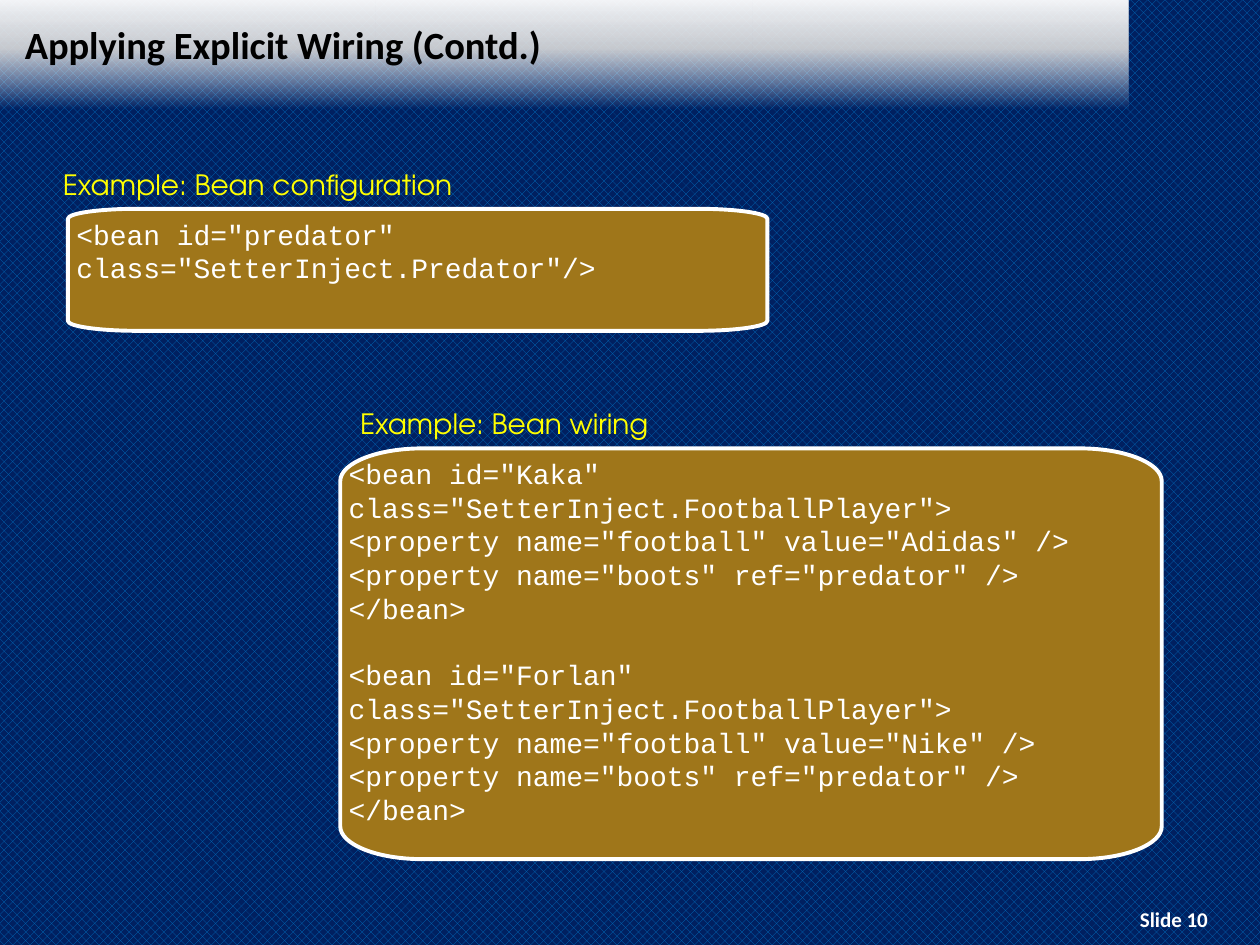
from lxml import etree
from pptx import Presentation
from pptx import util as u
from pptx.dml import color
from pptx.enum import dml, text
from pptx.enum import shapes
from pptx.oxml import ns

COLORS = {
    "pattern": "0070C0", "navy": "002060", "white": "FFFFFF", "silver": "D9D9D9",
    "black": "000000", "yellow": "FFFF00", "brown": "9F761A",
}
TITLE = {"name": "Calibri", "size": u.Pt(22), "bold": True}
NUMBER = {"name": "Calibri", "size": u.Pt(12), "bold": True}
LABEL = {"name": "TeX Gyre Adventor", "size": u.Pt(16)}
CODE = {"name": "Courier New", "size": u.Pt(16)}
CODE_LINE = u.Pt(19)
ARC = 0.55  # control point distance of a quarter ellipse

PREDATOR = ['<bean id="predator"', 'class="SetterInject.Predator"/>']


def player_bean(player, football):
    return [
        f'<bean id="{player}"',
        'class="SetterInject.FootballPlayer">',
        f'<property name="football" value="{football}" />',
        '<property name="boots" ref="predator" />',
        '</bean>',
    ]


def rgb(name):
    return color.RGBColor.from_string(COLORS[name])


def apply_format(font, values, color_name):
    for key, value in values.items():
        setattr(font, key, value)
    font.color.rgb = rgb(color_name)


def add_background(slide):
    fill = slide.background.fill
    fill.patterned()
    fill.pattern = dml.MSO_PATTERN.PERCENT_50
    fill.fore_color.rgb = rgb("pattern")
    fill.back_color.rgb = rgb("navy")


def add_title_band(slide):
    band = slide.shapes.add_shape(
        shapes.MSO_SHAPE.RECTANGLE, 0, u.Cm(-0.03), u.Cm(22.75), u.Cm(2.22))
    band.shadow.inherit = False
    band.line.fill.background()
    band.fill.gradient()
    band.fill.gradient_angle = 90
    # Stops run from clear at the bottom to nearly solid at the top
    stops = band._element.spPr.find(ns.qn("a:gradFill")).find(ns.qn("a:gsLst"))
    for stop in list(stops):
        stops.remove(stop)
    for position, name, alpha in ((0, "white", 0), (54, "silver", 90), (100, "white", 95)):
        stop = etree.SubElement(stops, ns.qn("a:gs"), pos=str(position * 1000))
        tint = etree.SubElement(stop, ns.qn("a:srgbClr"), val=COLORS[name])
        etree.SubElement(tint, ns.qn("a:alpha"), val=str(alpha * 1000))


def add_text(slide, words, place, values, color_name,
             align=text.PP_ALIGN.LEFT, anchor=text.MSO_ANCHOR.TOP):
    frame = slide.shapes.add_textbox(*map(u.Cm, place)).text_frame
    frame.word_wrap = True
    frame.vertical_anchor = anchor
    paragraph = frame.paragraphs[0]
    paragraph.alignment = align
    run = paragraph.add_run()
    run.text = words
    apply_format(run.font, values, color_name)
    return run


def add_label(slide, words, left, top):
    run = add_text(slide, words, (left, top, 9.6, 0.94), LABEL, "yellow")
    outline = etree.Element(ns.qn("a:ln"), w=str(u.Pt(1)))
    fill = etree.SubElement(outline, ns.qn("a:solidFill"))
    etree.SubElement(fill, ns.qn("a:srgbClr"), val=COLORS["yellow"])
    run._r.get_or_add_rPr().insert(0, outline)


def curve_corners(panel):
    """Turn every other segment, the cut corners, into a quarter ellipse."""
    points = [(int(pt.get("x")), int(pt.get("y")))
              for pt in panel._element.iter(ns.qn("a:pt"))]
    segments = list(panel._element.iter(ns.qn("a:lnTo")))
    for index in range(0, 8, 2):
        start, end = points[index], points[index + 1]
        upright = index % 4 == 0
        vertex = (start[0], end[1]) if upright else (end[0], start[1])
        curve = etree.Element(ns.qn("a:cubicBezTo"))
        controls = [[round(p + (v - p) * ARC) for p, v in zip(point, vertex)]
                    for point in (start, end)]
        for x, y in (*controls, end):
            etree.SubElement(curve, ns.qn("a:pt"), x=str(x), y=str(y))
        segments[index].getparent().replace(segments[index], curve)


def add_panel(slide, left, top, width, height, radius_x, radius_y):
    right, bottom = left + width, top + height
    corners = [
        (left, top + radius_y), (left + radius_x, top),
        (right - radius_x, top), (right, top + radius_y),
        (right, bottom - radius_y), (right - radius_x, bottom),
        (left + radius_x, bottom), (left, bottom - radius_y),
    ]
    start, *rest = [(u.Cm(x), u.Cm(y)) for x, y in corners]
    builder = slide.shapes.build_freeform(*start)
    builder.add_line_segments(rest, close=True)
    panel = builder.convert_to_shape()
    curve_corners(panel)
    panel.shadow.inherit = False
    panel.fill.solid()
    panel.fill.fore_color.rgb = rgb("brown")
    panel.line.color.rgb = rgb("white")
    panel.line.width = u.Pt(2.25)
    return panel


def add_code(slide, blocks, place, radii):
    frame = add_panel(slide, *place, *radii).text_frame
    frame.word_wrap = True
    frame.vertical_anchor = text.MSO_ANCHOR.TOP
    for side in ("left", "top", "right", "bottom"):
        setattr(frame, f"margin_{side}", u.Cm(0.17))
    for block_index, block in enumerate(blocks):
        for line_index, line in enumerate(block):
            first = block_index == line_index == 0
            paragraph = frame.paragraphs[0] if first else frame.add_paragraph()
            paragraph.alignment = text.PP_ALIGN.LEFT
            # One line of space between beans
            if block_index and line_index == 0:
                paragraph.space_before = CODE_LINE
            run = paragraph.add_run()
            run.text = line
            apply_format(run.font, CODE, "white")


def main():
    deck = Presentation()
    deck.slide_width, deck.slide_height = u.Cm(25.4), u.Cm(19.05)
    slide = deck.slides.add_slide(deck.slide_layouts[6])

    # Backdrop, slide number and title
    add_background(slide)
    add_title_band(slide)
    add_text(slide, "Slide 10", (22.18, 18.16, 2.97, 0.76), NUMBER, "white",
             align=text.PP_ALIGN.CENTER)
    add_text(slide, "Applying Explicit Wiring (Contd.)", (0.25, 0.23, 22.28, 1.32),
             TITLE, "black", anchor=text.MSO_ANCHOR.MIDDLE)

    # Bean configuration
    add_code(slide, [PREDATOR], (1.37, 4.21, 14.1, 2.46), (1.4, 0.2))
    add_label(slide, "Example: Bean configuration", 1.02, 3.25)

    # Bean wiring
    players = [player_bean("Kaka", "Adidas"), player_bean("Forlan", "Nike")]
    add_code(slide, players, (6.86, 9.04, 16.56, 8.28), (1.65, 0.66))
    add_label(slide, "Example: Bean wiring", 7.01, 8.08)

    deck.save("out.pptx")


if __name__ == "__main__":
    main()
